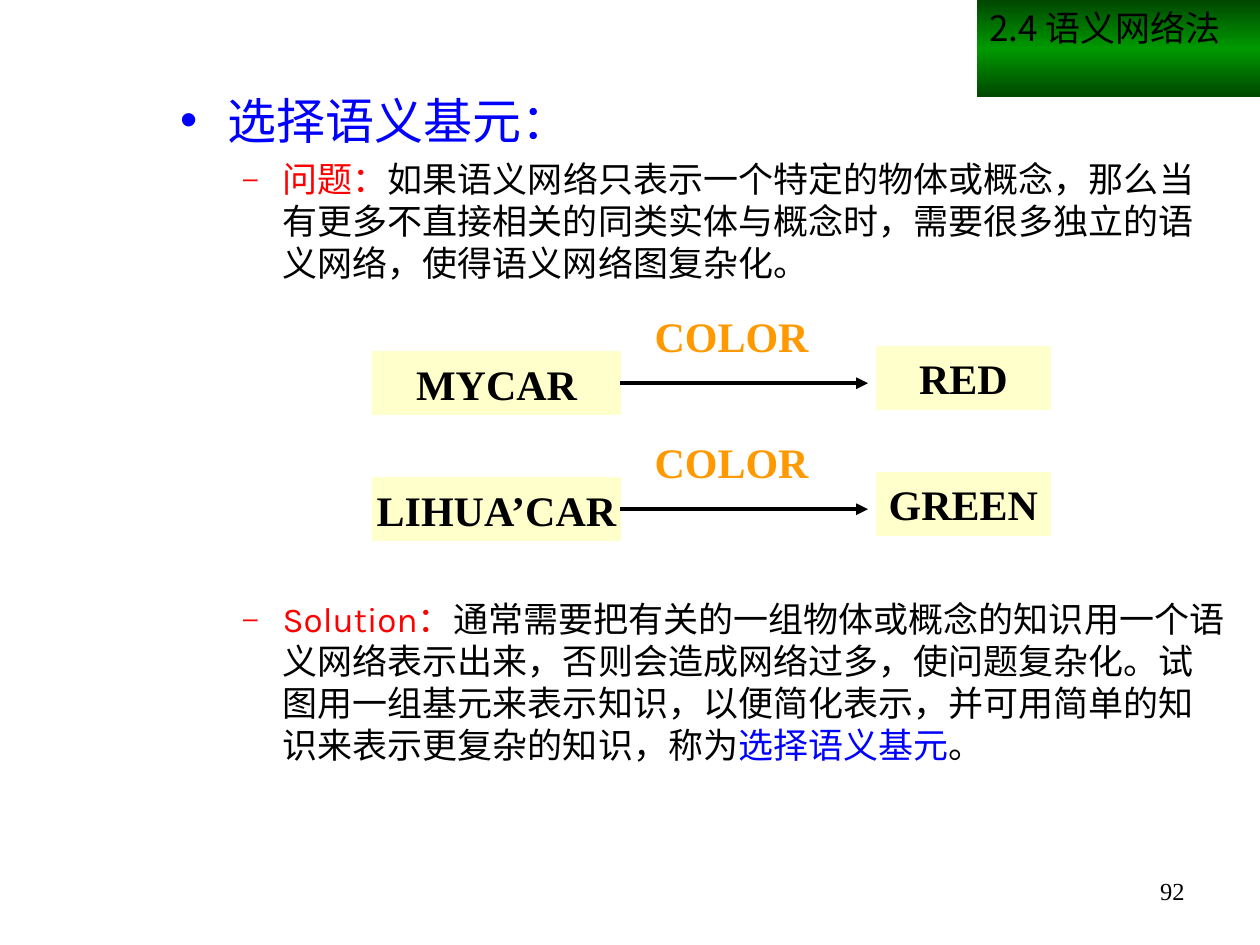
"""Build the slide on choosing semantic primitives in semantic networks."""
from copy import deepcopy

from lxml.etree import SubElement
from pptx import Presentation
from pptx.dml.color import RGBColor
from pptx.enum.shapes import MSO_CONNECTOR as Connector, MSO_SHAPE as Shape
from pptx.enum.text import MSO_ANCHOR as Anchor, MSO_AUTO_SIZE as AutoSize, PP_ALIGN as Align
from pptx.oxml.ns import qn
from pptx.util import Pt

BLACK = RGBColor(0x00, 0x00, 0x00)
BLUE = RGBColor(0x00, 0x00, 0xFF)
RED = RGBColor(0xFF, 0x00, 0x00)
ORANGE = RGBColor(0xFF, 0x99, 0x00)
CREAM = RGBColor(0xFF, 0xFF, 0xCC)
GREEN = RGBColor(0x00, 0x99, 0x00)
DARK_GREEN = RGBColor(0x00, 0x47, 0x00)
BODY_FONT, HEADER_FONT, LABEL_FONT = "Karla", "Noto Sans CJK SC", "Times New Roman"


def add_span(para, text, size=24, color=BLACK, font=LABEL_FONT, bold=False):
    span = para.add_run()
    span.text = text
    span.font.size = Pt(size)
    span.font.bold = bold
    span.font.name = font
    span.font.color.rgb = color
    SubElement(span.font._element, qn("a:ea"), typeface=font)


def set_bullet(para, char, color, percent, left, hanging):
    props = para._p.get_or_add_pPr()
    props.set("marL", str(Pt(left)))
    props.set("indent", str(-Pt(hanging)))
    SubElement(SubElement(props, qn("a:buClr")), qn("a:srgbClr"), val=str(color))
    SubElement(props, qn("a:buSzPct"), val=str(percent * 1000))
    SubElement(props, qn("a:buFont"), typeface="Arial")
    SubElement(props, qn("a:buChar"), char=char)


deck = Presentation()
deck.slide_width, deck.slide_height = Pt(720), Pt(540)
page = deck.slides.add_slide(deck.slide_layouts[1])
shapes = page.shapes

header = shapes.title
header.left, header.top, header.width, header.height = Pt(558), Pt(0), Pt(162), Pt(55.5)
header.fill.gradient()
header.fill.gradient_angle = 90
for stop, color, position in zip(header.fill.gradient_stops, (DARK_GREEN, GREEN), (0, 0.5)):
    stop.color.rgb = color
    stop.position = position
stop_list = header._element.spPr.find(".//" + qn("a:gsLst"))
last_stop = deepcopy(stop_list[0])
last_stop.set("pos", "100000")
stop_list.append(last_stop)
header.text_frame.auto_size = AutoSize.NONE
header.text_frame.vertical_anchor = Anchor.TOP
header_para = header.text_frame.paragraphs[0]
header_para.alignment = Align.LEFT
add_span(header_para, "2.4 语义网络法", size=20, font=HEADER_FONT)

body = page.placeholders[1]
body.left, body.top, body.width, body.height = Pt(95.75), Pt(48), Pt(612), Pt(456)
body.text_frame.auto_size = AutoSize.NONE
points = [
    (0, 7, [("选择语义基元：", BLUE)]),
    (1, 5, [
        ("问题：", RED),
        ("如果语义网络只表示一个特定的物体或概念，那么当有更多不直接相关的同类实体与概念时，"
         "需要很多独立的语义网络，使得语义网络图复杂化。", BLACK),
    ]),
    (1, 179, [
        ("Solution：", RED),
        ("通常需要把有关的一组物体或概念的知识用一个语义网络表示出来，否则会造成网络过多，"
         "使问题复杂化。试图用一组基元来表示知识，以便简化表示，并可用简单的知识来表示更复杂的知识，称为",
         BLACK),
        ("选择语义基元", BLUE),
        ("。", BLACK),
    ]),
]
levels = [(28, ("•", BLUE, 100, 27, 27)), (20, ("–", RED, 75, 58.5, 22.5))]
for index, (level, gap, spans) in enumerate(points):
    para = body.text_frame.add_paragraph() if index else body.text_frame.paragraphs[0]
    para.level = level
    para.space_before = Pt(gap)
    size, bullet = levels[level]
    set_bullet(para, *bullet)
    for text, color in spans:
        add_span(para, text, size=size, color=color, font=BODY_FONT)

for row, (owner, value) in enumerate([("MYCAR", "RED"), ("LIHUA’CAR", "GREEN")]):
    top = 198 + 72 * row
    nodes = []
    for text, left, node_top, width in [(owner, 213, top + 3, 141.5), (value, 501, top, 99)]:
        node = shapes.add_shape(Shape.RECTANGLE, Pt(left), Pt(node_top), Pt(width), Pt(36))
        node.shadow.inherit = False
        node.fill.solid()
        node.fill.fore_color.rgb = CREAM
        node.line.color.rgb = CREAM
        node.line.width = Pt(0.75)
        node.text_frame.word_wrap = False
        node.text_frame.vertical_anchor = Anchor.MIDDLE
        node_para = node.text_frame.paragraphs[0]
        node_para.alignment = Align.CENTER
        add_span(node_para, text, bold=True)
        nodes.append(node)

    arrow = shapes.add_connector(Connector.STRAIGHT, Pt(354.5), Pt(top + 21), Pt(496), Pt(top + 21))
    arrow.begin_connect(nodes[0], 3)
    arrow.line.color.rgb = BLACK
    arrow.line.width = Pt(2.25)
    SubElement(arrow.line._get_or_add_ln(), qn("a:tailEnd"), type="triangle")
    SubElement(arrow._element.spPr, qn("a:effectLst"))

    label = shapes.add_textbox(Pt(367), Pt(top - 24), Pt(105), Pt(36))
    label.text_frame.word_wrap = False
    add_span(label.text_frame.paragraphs[0], "COLOR", color=ORANGE, bold=True)

number = shapes.add_textbox(Pt(516), Pt(500.5), Pt(168), Pt(29))
number.text_frame.word_wrap = True
number_para = number.text_frame.paragraphs[0]
number_para.alignment = Align.RIGHT
number_para.line_spacing = 0.8
number_para.space_before = Pt(8.8)
add_span(number_para, "92", size=14)

deck.save("out.pptx")
